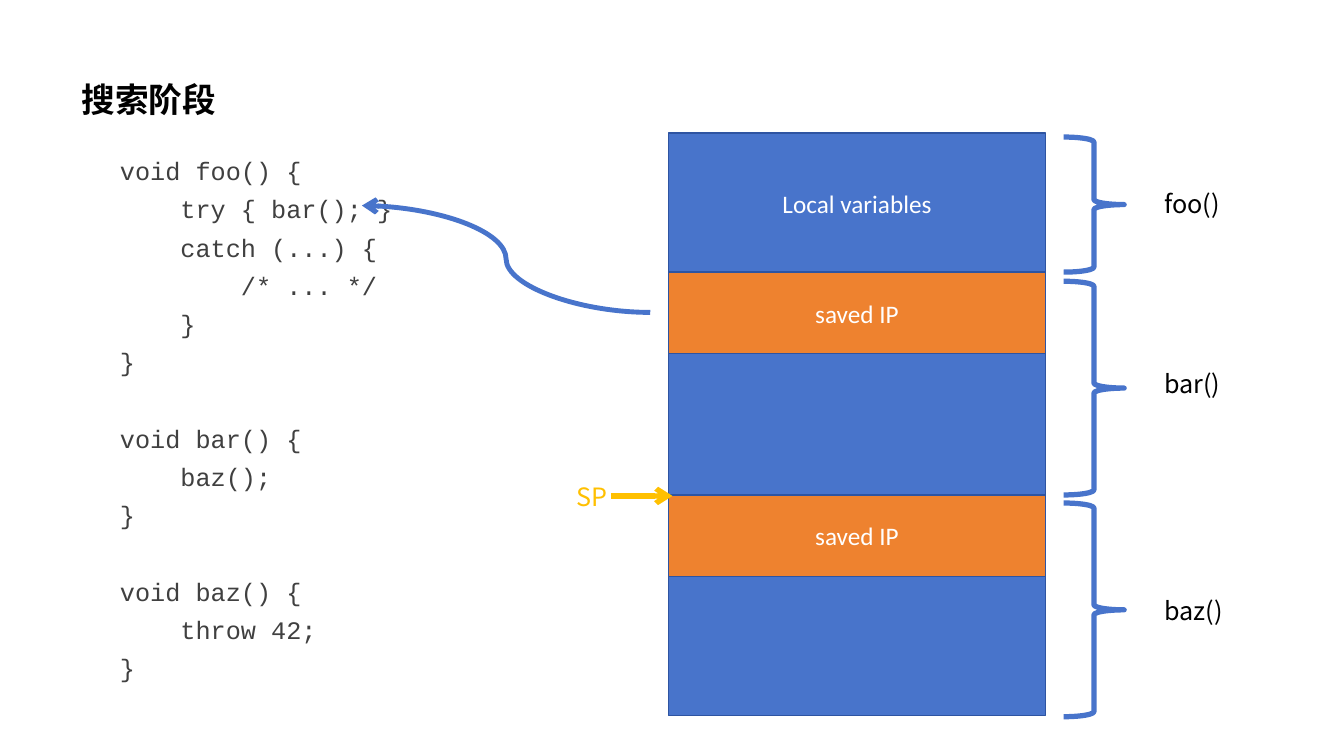
"""Builds the slide on the search phase of stack unwinding."""
from pptx import Presentation
from pptx.dml.color import RGBColor as Rgb
from pptx.enum.shapes import MSO_CONNECTOR as Link, MSO_SHAPE as Shape
from pptx.enum.text import MSO_ANCHOR as Anchor, MSO_AUTO_SIZE as Fit, PP_ALIGN as Align
from pptx.oxml.ns import qn
from pptx.util import Inches, Pt
from lxml.etree import SubElement as Sub

HUES = {"blue": "4874CB", "edge": "2E54A1", "orange": "EE822F", "gold": "FFC000",
        "white": "FFFFFF", "black": "000000", "gray": "404040"}
SANS = "Noto Sans CJK SC"


def style(para, face, hue, size=18, bold=False):
    for run in para.runs:
        run.font.name = face
        run.font.size = Pt(size)
        run.font.bold = bold
        run.font.color.rgb = Rgb.from_string(HUES[hue])


def arrow(kind, start, end, hue, width):
    ends = [Inches(n) for n in start + end]
    link = slide.shapes.add_connector(kind, *ends)
    link.line.color.rgb = Rgb.from_string(HUES[hue])
    link.line.width = Pt(width)
    Sub(link.line._get_or_add_ln(), qn("a:tailEnd"), type="arrow")
    Sub(link._element.spPr, qn("a:effectLst"))


deck = Presentation()
deck.slide_width, deck.slide_height = Inches(13.33), Inches(7.5)
slide = deck.slides.add_slide(deck.slide_layouts[1])
title, body = slide.placeholders

title.left, title.top = Inches(0.71), Inches(0.28)
title.width, title.height = Inches(11.5), Inches(1.45)
frame = title.text_frame
frame.text = "搜索阶段"
frame.vertical_anchor = Anchor.MIDDLE
head = frame.paragraphs[0]
head.alignment = Align.LEFT
head.line_spacing = 0.9
style(head, "Calibri", "black", 24, True)
Sub(head.runs[0].font._element, qn("a:ea"), typeface=SANS)

body.left, body.top = Inches(1.09), Inches(1.55)
body.width, body.height = Inches(3.54), Inches(5.48)
frame = body.text_frame
frame.auto_size = Fit.NONE
code = [
    [(0, "void foo() {"), (1, "try { bar(); }"), (1, "catch (...) {"),
     (2, "/* ... */"), (1, "}"), (0, "}")],
    [(0, "void bar() {"), (1, "baz();"), (0, "}")],
    [(0, "void baz() {"), (1, "throw 42;"), (0, "}")],
]
frame.text = "\n".join(text for block in code for _, text in block)
paras = iter(frame.paragraphs)
for b, block in enumerate(code):
    for row, (depth, _) in enumerate(block):
        para = next(paras)
        para.line_spacing = 0.8
        para.space_before = Pt(37.3 if b and row == 0 else 10)
        props = para._p.get_or_add_pPr()
        props.set("marL", str(Inches(0.6 * depth)))
        props.set("indent", "0")
        Sub(props, qn("a:buNone"))
        style(para, "Courier New", "gray")

stack = [
    (1.32, 1.4, "blue", "Local variables"),
    (2.7, 0.81, "orange", "saved IP"),
    (3.51, 1.4, "blue", ""),
    (5.7, 1.4, "blue", ""),
    (4.91, 0.81, "orange", "saved IP"),
]
for top, high, hue, text in stack:
    cell = slide.shapes.add_shape(
        Shape.RECTANGLE, Inches(6.63), Inches(top), Inches(3.74), Inches(high))
    cell.shadow.inherit = False
    cell.fill.solid()
    cell.fill.fore_color.rgb = Rgb.from_string(HUES[hue])
    cell.line.color.rgb = Rgb.from_string(HUES["edge"])
    cell.line.width = Pt(1)
    if text:
        frame = cell.text_frame
        frame.text = text
        frame.vertical_anchor = Anchor.MIDDLE
        frame.paragraphs[0].alignment = Align.CENTER
        style(frame.paragraphs[0], "Calibri", "white")

for top, high in [(1.36, 1.34), (2.79, 2.12), (4.99, 2.12)]:
    brace = slide.shapes.add_shape(
        Shape.RIGHT_BRACE, Inches(10.55), Inches(top), Inches(0.6), Inches(high))
    brace.shadow.inherit = False
    brace.fill.background()
    brace.line.color.rgb = Rgb.from_string(HUES["blue"])
    brace.line.width = Pt(3.75)

arrow(Link.CURVE, (6.45, 3.1), (3.59, 2.04), "blue", 3.5)
arrow(Link.STRAIGHT, (6.06, 4.92), (6.67, 4.92), "gold", 3.75)

labels = [
    (11.45, 1.82, 1.12, "foo()", "black"),
    (11.45, 3.61, 1.12, "bar()", "black"),
    (11.45, 5.86, 1.12, "baz()", "black"),
    (5.62, 4.73, 0.94, "SP", "gold"),
]
for left, top, wide, text, hue in labels:
    box = slide.shapes.add_textbox(Inches(left), Inches(top), Inches(wide), Inches(0.4))
    frame = box.text_frame
    frame.word_wrap = True
    frame.auto_size = Fit.SHAPE_TO_FIT_TEXT
    frame.text = text
    style(frame.paragraphs[0], SANS, hue)

deck.save("out.pptx")
